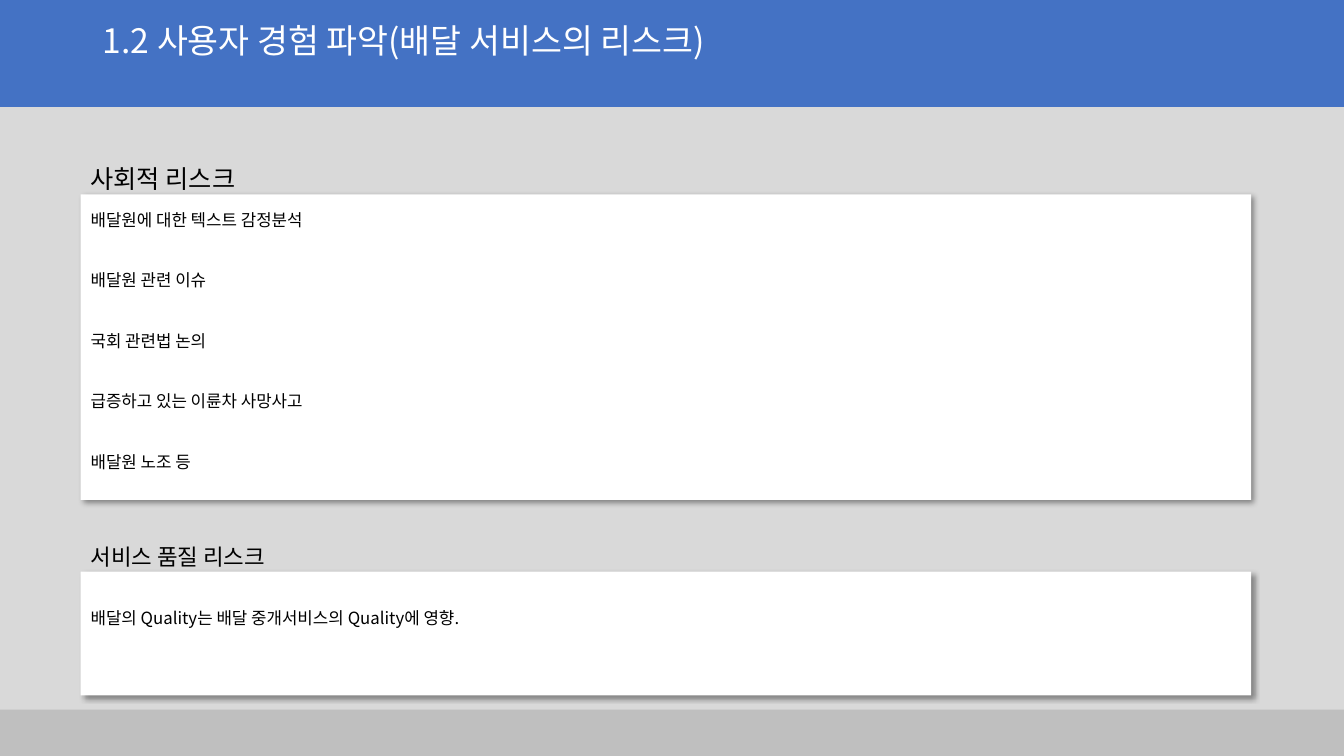
from lxml import etree
from pptx import Presentation
from pptx.dml.color import RGBColor
from pptx.enum.shapes import MSO_SHAPE
from pptx.enum.text import MSO_ANCHOR, MSO_AUTO_SIZE, PP_ALIGN
from pptx.oxml import parse_xml
from pptx.util import Inches, Pt

RECTANGLE = MSO_SHAPE.RECTANGLE
TOP = MSO_ANCHOR.TOP
NO_AUTOFIT = MSO_AUTO_SIZE.NONE
LEFT, JUSTIFY = PP_ALIGN.LEFT, PP_ALIGN.JUSTIFY

FONT = "Noto Sans CJK KR"
LINE_FACTOR = 1.8
BODY_SIZE = 12
PANEL_LEFT, PANEL_WIDTH = 0.8, 11.61
SHADOW = """<a:effectLst xmlns:a="http://schemas.openxmlformats.org/drawingml/2006/main">
<a:outerShdw blurRad="50800" dist="38100" dir="2700000" algn="tl" rotWithShape="0">
<a:srgbClr val="000000"><a:alpha val="40000"/></a:srgbClr></a:outerShdw></a:effectLst>"""

prs = Presentation()
prs.slide_width, prs.slide_height = Inches(13.33), Inches(7.5)
slide = prs.slides.add_slide(prs.slide_layouts[5])
slide.background.fill.solid()
slide.background.fill.fore_color.rgb = RGBColor.from_string("D9D9D9")


def add_rectangle(left, top, width, height, color):
    rectangle = slide.shapes.add_shape(
        RECTANGLE, Inches(left), Inches(top), Inches(width), Inches(height))
    rectangle.shadow.inherit = False
    rectangle.fill.solid()
    rectangle.fill.fore_color.rgb = RGBColor.from_string(color)
    rectangle.line.fill.background()
    return rectangle


def write_lines(frame, lines, size, color="000000"):
    """Fill a frame with justified lines, one empty line's height apart."""
    frame.word_wrap = True
    frame.vertical_anchor = TOP
    frame.text = "\n".join(lines)
    for index, paragraph in enumerate(frame.paragraphs):
        paragraph.alignment = JUSTIFY
        paragraph.line_spacing = Pt(size * LINE_FACTOR)
        if index:
            paragraph.space_before = Pt(size * LINE_FACTOR)
        paragraph.font.name = FONT
        paragraph.font.size = Pt(size)
        paragraph.font.color.rgb = RGBColor.from_string(color)


# Header and footer bars
add_rectangle(0, 7.04, 13.33, 0.46, "BFBFBF")
add_rectangle(0, 0, 13.33, 1.06, "4472C4")

# Title, brought in front of the header bar
title = slide.shapes.title
slide.shapes._spTree.append(title._element)
title.left, title.top = Inches(0.92), Inches(0.24)
title.width, title.height = Inches(11.5), Inches(0.61)
title_frame = title.text_frame
write_lines(title_frame, ["1.2 사용자 경험 파악(배달 서비스의 리스크)"], 24, "FFFFFF")
title_frame.auto_size = NO_AUTOFIT
title_frame.margin_top = 0
title_frame.paragraphs[0].alignment = LEFT
title_frame.paragraphs[0].line_spacing = 0.9

# Heading, its size, top and height; panel top, height and top margin; panel lines
risks = [
    ("서비스 품질 리스크", 16, 5.21, 0.47, 5.67, 1.23, 0.26,
     ["배달의 Quality는 배달 중개서비스의 Quality에 영향."]),
    ("사회적 리스크", 18, 1.42, 0.51, 1.93, 3.03, 0.05,
     ["배달원에 대한 텍스트 감정분석", "배달원 관련 이슈", "국회 관련법 논의",
      "급증하고 있는 이륜차 사망사고", "배달원 노조 등"]),
]
for (heading, heading_size, heading_top, heading_height,
     panel_top, panel_height, margin_top, lines) in risks:
    panel = add_rectangle(PANEL_LEFT, panel_top, PANEL_WIDTH, panel_height, "FFFFFF")
    properties = panel._element.spPr
    properties.replace(properties.find("{*}effectLst"),
                       parse_xml(etree.tostring(etree.fromstring(SHADOW))))
    write_lines(panel.text_frame, lines, BODY_SIZE)
    panel.text_frame.margin_top = Inches(margin_top)

    heading_box = slide.shapes.add_textbox(
        Inches(PANEL_LEFT), Inches(heading_top), Inches(6.67), Inches(heading_height))
    write_lines(heading_box.text_frame, [heading], heading_size)

prs.save("out.pptx")
